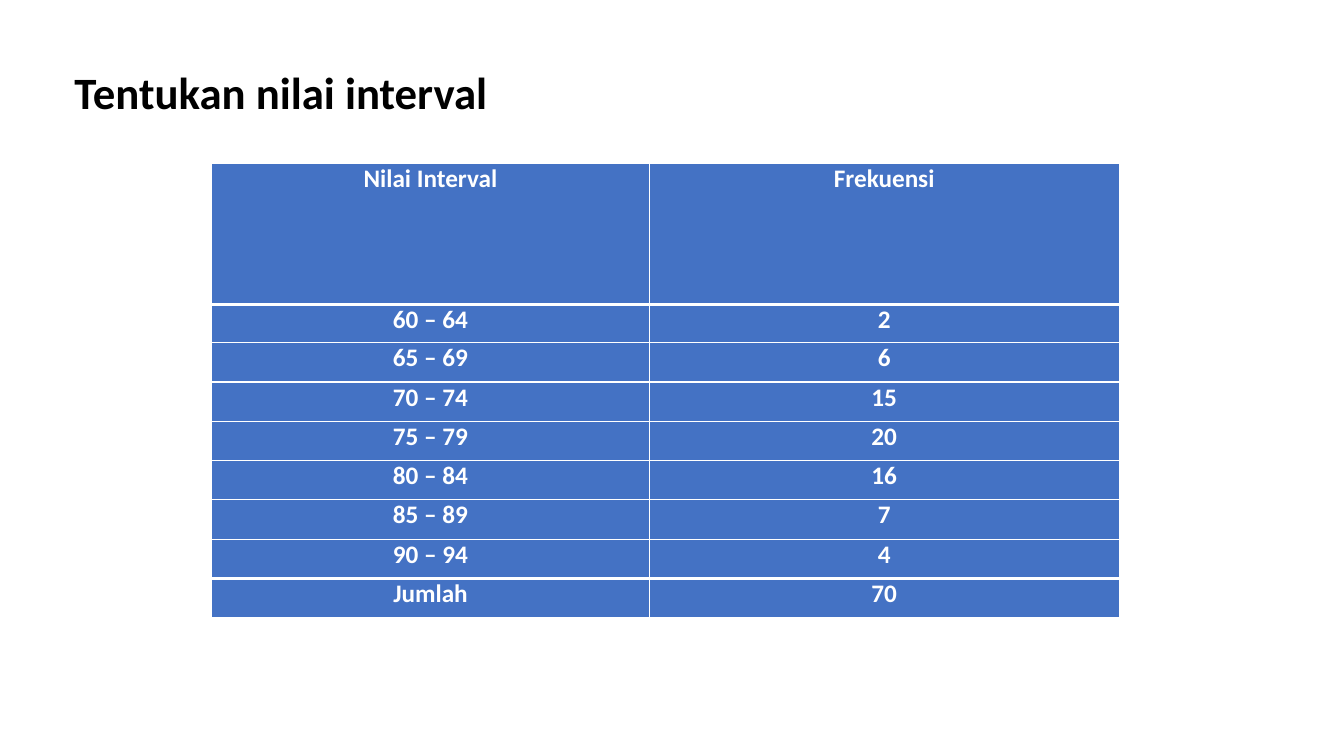
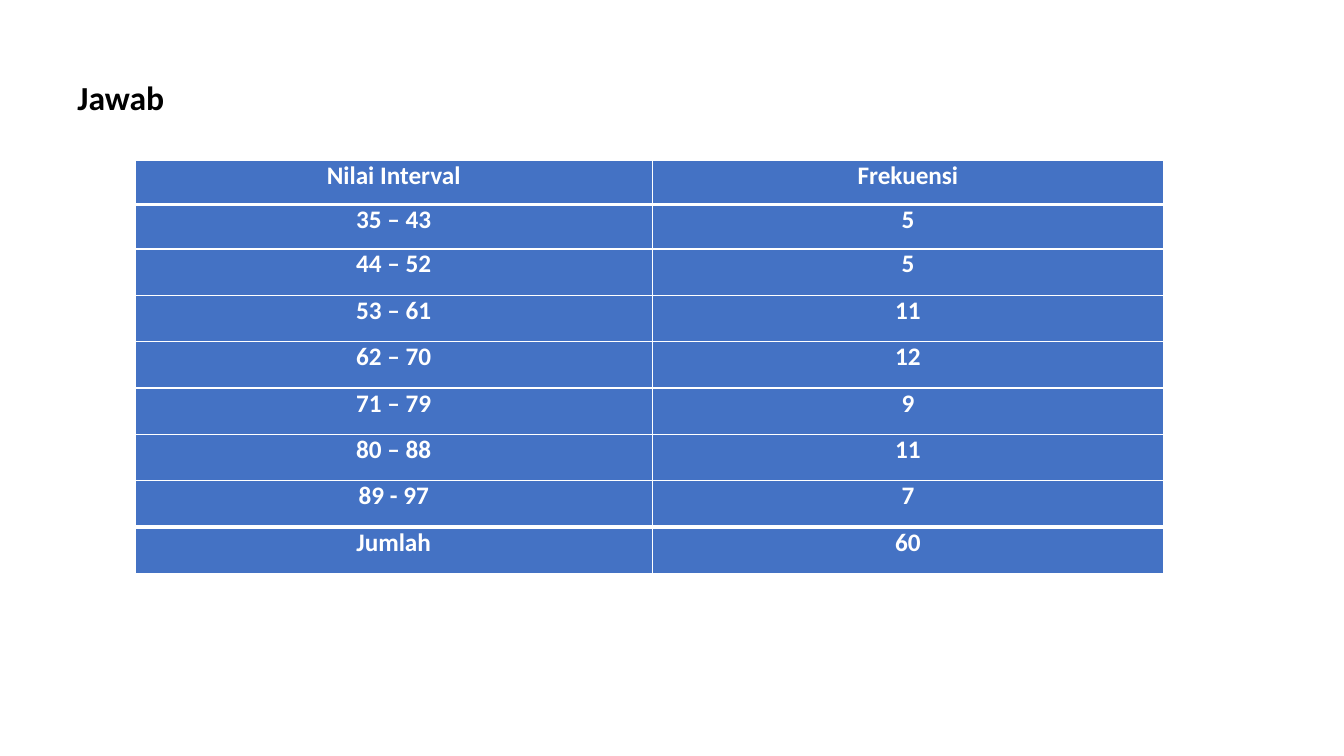
import pptx
import pptx.util
import pptx.dml.color
import pptx.enum.text
import lxml.etree
from pptx.util import Inches

BLACK = pptx.dml.color.RGBColor(0x00, 0x00, 0x00)
WHITE = pptx.dml.color.RGBColor(0xFF, 0xFF, 0xFF)
BLUE = pptx.dml.color.RGBColor(0x44, 0x72, 0xC4)
FONT = "Calibri"
LEFT = pptx.enum.text.PP_ALIGN.LEFT
CENTER = pptx.enum.text.PP_ALIGN.CENTER
NS = "{http://schemas.openxmlformats.org/drawingml/2006/main}"


def write(tf, text, size=18, color=WHITE, align=CENTER):
    tf.word_wrap = True
    p = tf.paragraphs[0]
    p.alignment = align
    r = p.add_run()
    r.text = text
    r.font.name = FONT
    r.font.size = pptx.util.Pt(size)
    r.font.bold = True
    r.font.color.rgb = color


def set_borders(cell, top, bottom):
    tc_pr = cell._tc.get_or_add_tcPr()
    for side, width in (("L", 1), ("R", 1), ("T", top), ("B", bottom)):
        ln = lxml.etree.SubElement(tc_pr, NS + "ln" + side, w=str(pptx.util.Pt(width)))
        fill = lxml.etree.SubElement(ln, NS + "solidFill")
        lxml.etree.SubElement(fill, NS + "srgbClr", val=str(WHITE))


# Content: title, title box, title size, table corner, columns, rows, data
slides = [
    ("Tentukan nilai interval", (0.64, 0.59, 11.91, 0.64), 32,
     (2.1, 1.62), (4.34, 4.66), [1.4, 0.38] + [0.39] * 7,
     [("60 – 64", 2), ("65 – 69", 6), ("70 – 74", 15), ("75 – 79", 20),
      ("80 – 84", 16), ("85 – 89", 7), ("90 – 94", 4), ("Jumlah", 70)]),
    ("Jawab", (0.67, 0.71, 6.43, 0.5), 24,
     (1.34, 1.59), (5.13, 5.07), [0.44] * 2 + [0.46] * 7,
     [("35 – 43", 5), ("44 – 52", 5), ("53 – 61", 11), ("62 – 70", 12),
      ("71 – 79", 9), ("80 – 88", 11), ("89 - 97", 7), ("Jumlah", 60)]),
]

prs = pptx.Presentation()
prs.slide_width = Inches(13.33)
prs.slide_height = Inches(7.5)

for title, title_box, title_size, corner, widths, heights, data in slides:
    s = prs.slides.add_slide(prs.slide_layouts[6])

    # Title
    box = s.shapes.add_textbox(*[Inches(v) for v in title_box])
    write(box.text_frame, title, size=title_size, color=BLACK, align=LEFT)

    # Frequency table
    rows = [("Nilai Interval", "Frekuensi")] + data
    last = len(rows) - 1
    x, y = corner
    table = s.shapes.add_table(len(rows), len(widths), Inches(x), Inches(y),
                               Inches(sum(widths)), Inches(sum(heights))).table
    table.first_row = False
    table.horz_banding = False
    for column, width in zip(table.columns, widths):
        column.width = Inches(width)
    for i, values in enumerate(rows):
        table.rows[i].height = Inches(heights[i])
        # Thick rules below the header and above the total
        top = 3 if i in (1, last) else 1
        bottom = 3 if i in (0, last - 1) else 1
        for j, value in enumerate(values):
            cell = table.cell(i, j)
            cell.margin_left = cell.margin_right = 0
            cell.margin_top = cell.margin_bottom = 0
            set_borders(cell, top, bottom)
            cell.fill.solid()
            cell.fill.fore_color.rgb = BLUE
            write(cell.text_frame, str(value))

prs.save("out.pptx")
